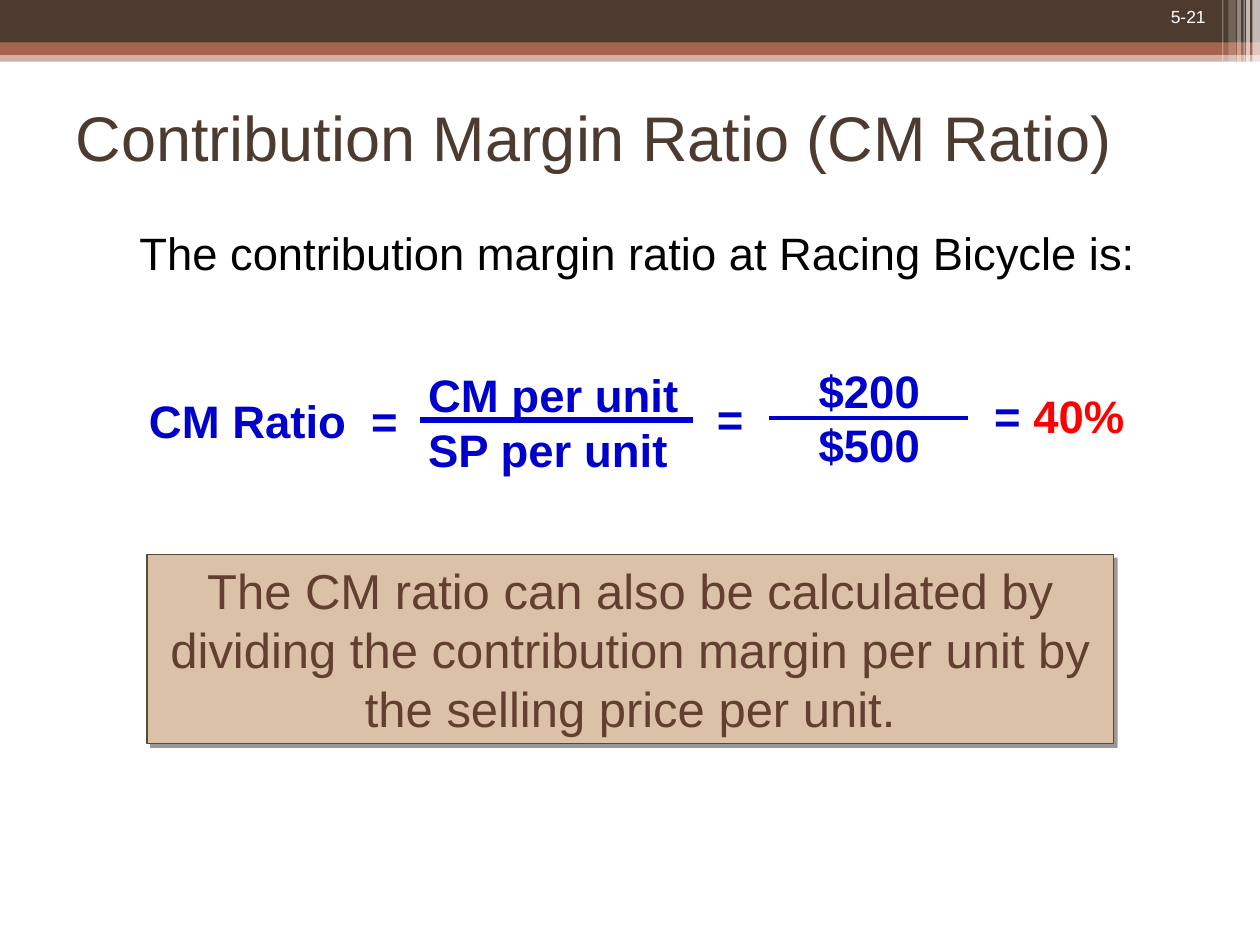
from lxml import etree
from pptx import Presentation
from pptx.dml.color import RGBColor
from pptx.enum.shapes import MSO_CONNECTOR as CONN, MSO_SHAPE as SHAPE
from pptx.enum.text import MSO_ANCHOR as ANCHOR, PP_ALIGN as ALIGN
from pptx.oxml.ns import qn
from pptx.util import Pt

BROWN = RGBColor(0x4E, 0x3B, 0x30)
RUST = RGBColor(0xA5, 0x64, 0x4E)
TAN = RGBColor(0xDB, 0xC1, 0xA7)
OLIVE = RGBColor(0x53, 0x4B, 0x38)
UMBER = RGBColor(0x63, 0x3F, 0x32)
BLUE = RGBColor(0x00, 0x00, 0xCC)
RED = RGBColor(0xFF, 0x00, 0x00)
WHITE = RGBColor(0xFF, 0xFF, 0xFF)
BLACK = RGBColor(0x00, 0x00, 0x00)


class SlideBuilder:
    font = "Arial"
    formula_size = 26

    def __init__(self, slide):
        self.slide = slide

    def style(self, p, size, color, bold=False, align=ALIGN.LEFT):
        p.alignment = align
        p.space_before = Pt(0)
        for r in p.runs:
            r.font.name = self.font
            r.font.size = Pt(size)
            r.font.bold = bold
            r.font.color.rgb = color

    def place(self, sp, x, y, w, h):
        sp.left, sp.top, sp.width, sp.height = Pt(x), Pt(y), Pt(w), Pt(h)

    def bar(self, x, y, w, h, color, alpha=100):
        sp = self.slide.shapes.add_shape(SHAPE.RECTANGLE, Pt(x), Pt(y), Pt(w), Pt(h))
        sp.shadow.inherit = False
        sp.fill.solid()
        sp.fill.fore_color.rgb = color
        sp.line.fill.background()
        if alpha < 100:
            clr = sp.fill._xPr.find(".//" + qn("a:srgbClr"))
            etree.SubElement(clr, qn("a:alpha"), val=str(alpha * 1000))
        return sp

    def title(self, text, *box):
        sp = self.slide.shapes.title
        self.place(sp, *box)
        tf = sp.text_frame
        tf.text = text
        tf.vertical_anchor = ANCHOR.MIDDLE
        self.style(tf.paragraphs[0], 36, BROWN)

    def body(self, text, *box):
        sp = self.slide.placeholders[1]
        self.place(sp, *box)
        tf = sp.text_frame
        tf.text = text
        p = tf.paragraphs[0]
        pPr = p._p.get_or_add_pPr()
        pPr.set("marL", str(Pt(28.8)))
        pPr.set("indent", str(Pt(-20.2)))
        etree.SubElement(pPr, qn("a:buNone"))
        p.line_spacing = 0.8
        self.style(p, 25.9, BLACK, align=ALIGN.CENTER)

    def text(self, text, x, y, w, h, size, color, bold=False, align=ALIGN.LEFT, wrap=False):
        sp = self.slide.shapes.add_textbox(Pt(x), Pt(y), Pt(w), Pt(h))
        tf = sp.text_frame
        tf.word_wrap = wrap
        tf.text = text
        for p in tf.paragraphs:
            self.style(p, size, color, bold, align)
        return tf

    def term(self, text, x, y, w, h, align=ALIGN.LEFT):
        return self.text(text, x, y, w, h, self.formula_size, BLUE, True, align)

    def fraction_bar(self, x1, x2, y, width):
        line = self.slide.shapes.add_connector(CONN.STRAIGHT, Pt(x1), Pt(y), Pt(x2), Pt(y))
        line.line.color.rgb = BLUE
        line.line.width = Pt(width)
        etree.SubElement(line._element.spPr, qn("a:effectLst"))

    def callout(self, text, *box):
        sp = self.bar(*box, TAN)
        sp.line.color.rgb = OLIVE
        sp.line.width = Pt(0.75)
        effects = sp._element.spPr.find(qn("a:effectLst"))
        shadow = etree.SubElement(effects, qn("a:outerShdw"), blurRad="0",
                                  dist=str(Pt(3)), dir="2700000", rotWithShape="0")
        clr = etree.SubElement(shadow, qn("a:srgbClr"), val=str(BLACK))
        etree.SubElement(clr, qn("a:alpha"), val="40000")
        tf = sp.text_frame
        tf.word_wrap = True
        tf.vertical_anchor = ANCHOR.MIDDLE
        tf.text = text
        self.style(tf.paragraphs[0], 28, UMBER, align=ALIGN.CENTER)


def main():
    prs = Presentation()
    prs.slide_width, prs.slide_height = Pt(720), Pt(540)
    s = SlideBuilder(prs.slides.add_slide(prs.slide_layouts[1]))

    # Header bands
    s.bar(0, 28.8, 720, 6.5, RUST, 50)
    s.bar(0, 0, 720, 24.5, BROWN)
    s.bar(0, 24.2, 720, 7.2, RUST)

    # Translucent stripes at the right end of the header
    for x, w, h, alpha in [(715.7, 4.3, 49, 65), (712.1, 2.2, 49, 65), (710.6, 0.7, 49, 60),
                           (707, 2.2, 49, 40), (702, 4.3, 46, 20), (698.4, 0.7, 46, 30)]:
        s.bar(x, 0, w, h, WHITE, alpha)
    s.text("5-21", 618, 0, 78, 19.4, 10, WHITE, align=ALIGN.RIGHT, wrap=True)

    # Title and lead sentence
    s.title("Contribution Margin Ratio (CM Ratio)", 36, 36, 648, 84.2)
    s.body("The contribution margin ratio at Racing Bicycle is:", 42, 131, 635.8, 49)

    # Explanation
    s.callout("The CM ratio can also be calculated by dividing the contribution margin "
              "per unit by the selling price per unit.", 84, 317, 552.2, 108)

    # Formula
    p = s.term("CM Ratio\t=", 78, 221, 171.4, 38.2).paragraphs[0]
    tabs = etree.Element(qn("a:tabLst"))
    etree.SubElement(tabs, qn("a:tab"), pos=str(Pt(127)), algn="l")
    p._p.get_or_add_pPr().append(tabs)

    s.term("CM per unit\nSP per unit", 237.6, 206.2, 160, 69.1)
    s.fraction_bar(239.8, 396, 240, 3)
    s.term("=", 402.5, 220, 32, 38.2)
    s.term("$200\n$500", 446.8, 203.8, 100, 69.1, ALIGN.CENTER)
    s.fraction_bar(439.2, 553, 239, 2.25)

    p = s.term("= ", 561, 218.2, 100, 38.2).paragraphs[0]
    p.add_run().text = "40%"
    s.style(p, s.formula_size, BLUE, True)
    p.runs[1].font.color.rgb = RED

    prs.save("out.pptx")


if __name__ == "__main__":
    main()
